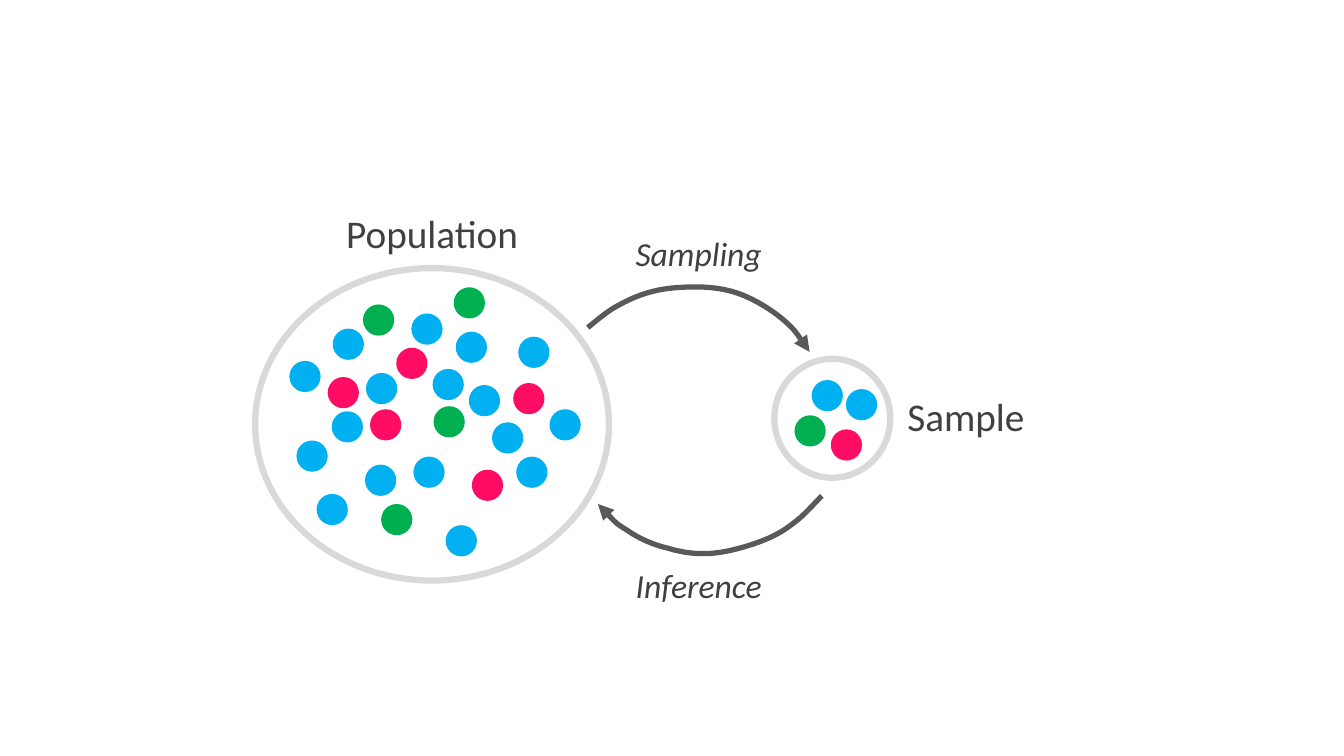
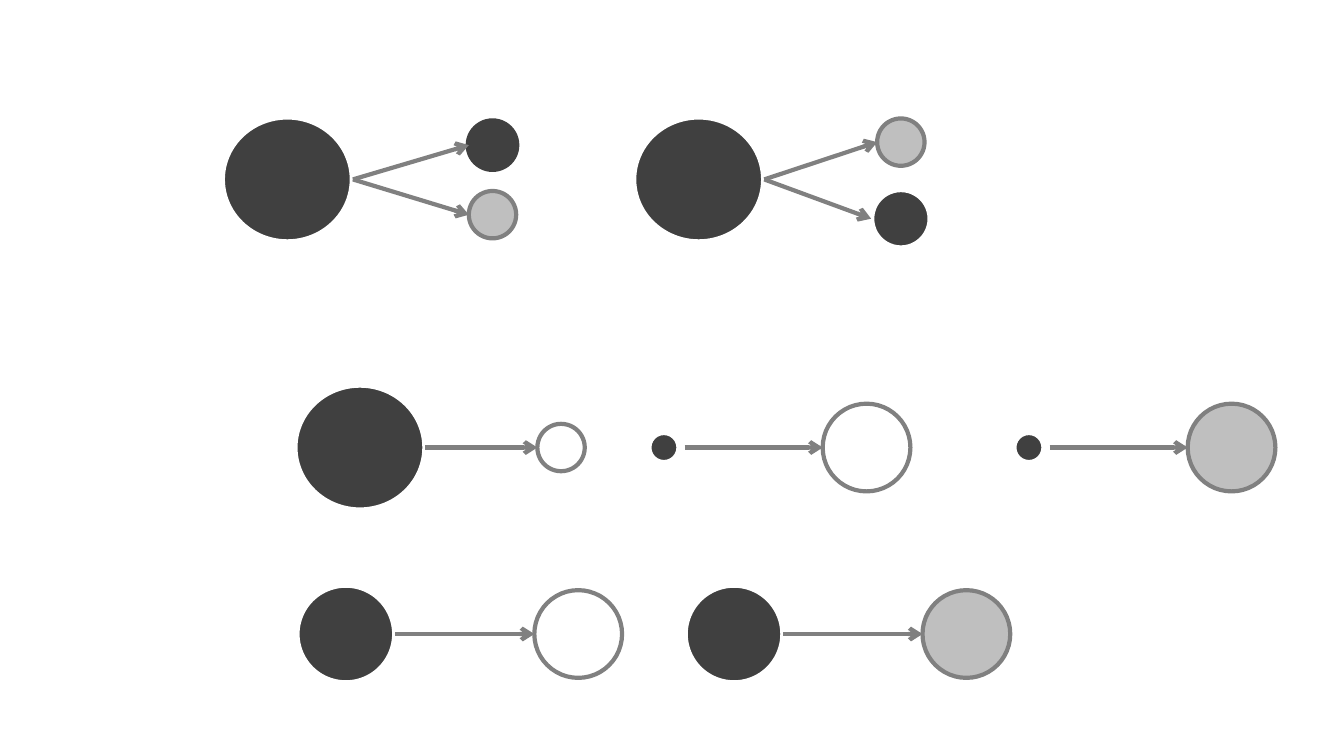
"""Build two slides: sampling and inference, and dark discs pointing to light ones."""
from lxml.etree import SubElement
from pptx import Presentation
from pptx.dml.color import RGBColor
from pptx.enum.shapes import MSO_CONNECTOR as Connector, MSO_SHAPE as Shape
from pptx.enum.text import MSO_AUTO_SIZE as AutoSize, PP_ALIGN as Align
from pptx.oxml.ns import qn
from pptx.util import Inches, Pt

COLORS = {
    "ring": "D9D9D9", "blue": "00B0F0", "green": "00B050", "pink": "FF0C64",
    "text": "404040", "curve": "595959", "dark": "404040", "white": "FFFFFF",
    "gray": "808080", "light": "BFBFBF",
}
DISCS = {
    "source": ("dark", "white", 4.5),
    "dark": ("dark", "dark", 4.5),
    "hollow": (None, "gray", 3),
    "light": ("light", "gray", 3),
}
LABELS = {
    "set": {"size": Pt(28), "italic": False},
    "process": {"size": Pt(24), "italic": True},
}
DOT = 0.31
POPULATION_DOTS = {
    "blue": [(1.99, 0.63), (2.92, 1.4), (0.41, 1.71), (1.55, 0.45), (1.09, 1.95),
             (1.57, 1.87), (2.35, 1.53), (2.61, 0.68), (0.77, 0.6), (1.89, 2.55),
             (0.61, 2.24), (2.12, 1.16), (0.76, 1.42), (2.59, 1.87), (0.34, 0.92),
             (1.76, 1), (1.1, 1.04)],
    "green": [(1.07, 0.36), (1.77, 1.37), (1.25, 2.34), (1.97, 0.19)],
    "pink": [(1.4, 0.79), (0.72, 1.08), (2.15, 2), (1.14, 1.4), (2.56, 1.14)],
}
SAMPLE_DOTS = {
    "blue": [(0.37, 0.21), (0.71, 0.3)],
    "green": [(0.2, 0.56)],
    "pink": [(0.56, 0.7)],
}
SAMPLING_CURVE = [
    (0, 0.41), (0.1, 0.33), (0.2, 0.24), (0.32, 0.18), (0.43, 0.12), (0.55, 0.07),
    (0.69, 0.04), (0.83, 0.01), (1.03, 0), (1.18, 0.01), (1.33, 0.02), (1.46, 0.05),
    (1.59, 0.11), (1.72, 0.17), (1.86, 0.26), (1.96, 0.35), (2.06, 0.44), (2.13, 0.55),
    (2.2, 0.65),
]
INFERENCE_CURVE = [
    (2.22, 0), (2.13, 0.09), (2.05, 0.19), (1.94, 0.27), (1.84, 0.35), (1.73, 0.41),
    (1.59, 0.46), (1.45, 0.51), (1.27, 0.56), (1.12, 0.57), (0.97, 0.58), (0.83, 0.56),
    (0.7, 0.52), (0.56, 0.49), (0.4, 0.42), (0.29, 0.34), (0.17, 0.27), (0.09, 0.17),
    (0, 0.08),
]


def color(name):
    """Return the named colour."""
    return RGBColor.from_string(COLORS[name])


def draw_line(shape, name, width, head=None):
    """Set the outline of a shape or connector, with an optional arrowhead."""
    shape.line.color.rgb = color(name)
    shape.line.width = Pt(width)
    if head:
        SubElement(shape._element.spPr.find(qn("a:ln")), qn("a:tailEnd"), type=head)


def add_ellipse(shapes, left, top, width, height, fill=None, line=None, weight=0):
    """Add an ellipse with the given fill and outline."""
    ellipse = shapes.add_shape(Shape.OVAL, *map(Inches, (left, top, width, height)))
    ellipse.shadow.inherit = False
    if fill:
        ellipse.fill.solid()
        ellipse.fill.fore_color.rgb = color(fill)
    else:
        ellipse.fill.background()
    if line:
        draw_line(ellipse, line, weight)
    else:
        ellipse.line.fill.background()


def add_label(page, left, top, width, height, text, style, align=Align.CENTER):
    """Add a one-line label."""
    box = page.shapes.add_textbox(*map(Inches, (left, top, width, height)))
    frame = box.text_frame
    frame.word_wrap = True
    frame.auto_size = AutoSize.SHAPE_TO_FIT_TEXT
    para = frame.paragraphs[0]
    para.alignment = align
    span = para.add_run()
    span.text = text
    for key, value in {"name": "Calibri", **LABELS[style]}.items():
        setattr(span.font, key, value)
    span.font.color.rgb = color("text")


def add_dot_set(page, left, top, width, height, dots):
    """Add a ring holding coloured dots, as one group."""
    shapes = page.shapes.add_group_shape().shapes
    add_ellipse(shapes, left, top, width, height, line="ring", weight=4.5)
    for fill, places in dots.items():
        for x, y in places:
            add_ellipse(shapes, left + x, top + y, DOT, DOT, fill)


def add_curved_arrow(page, left, top, points):
    """Add an open Bézier curve through a start point and triples of control points."""
    start, *rest = [(Inches(left + x), Inches(top + y)) for x, y in points]
    builder = page.shapes.build_freeform(*start)
    builder.add_line_segments(rest, close=False)
    curve = builder.convert_to_shape()
    curve.shadow.inherit = False
    curve.fill.background()
    draw_line(curve, "curve", 3.75, "triangle")
    segments = list(curve._element.iter(qn("a:lnTo")))
    for first, second, third in zip(segments[::3], segments[1::3], segments[2::3]):
        first.tag = qn("a:cubicBezTo")
        for segment in (second, third):
            first.append(segment[0])
            segment.getparent().remove(segment)


def add_arrow(page, x1, y1, x2, y2):
    """Add a straight arrow."""
    arrow = page.shapes.add_connector(Connector.STRAIGHT, *map(Inches, (x1, y1, x2, y2)))
    draw_line(arrow, "gray", 3, "arrow")
    SubElement(arrow._element.spPr, qn("a:effectLst"))


def add_disc_flow(page, left, middle, width, height, targets, gap=0):
    """Add a dark disc with an arrow to each target, placed from its left and middle."""
    add_ellipse(page.shapes, left, middle - height / 2, width, height, *DISCS["source"])
    for x, y, size, style in targets:
        target_left, target_middle = left + x, middle + y
        add_ellipse(page.shapes, target_left, target_middle - size / 2, size, size, *DISCS[style])
        add_arrow(page, left + width + gap, middle, target_left, target_middle)


def build_sampling(page, left, top):
    """Draw the population, the sample and the arrows between them."""
    add_dot_set(page, left, top, 3.51, 3.1, POPULATION_DOTS)
    add_dot_set(page, left + 5.15, top + 0.9, 1.15, 1.18, SAMPLE_DOTS)
    add_curved_arrow(page, left + 3.3, top + 0.18, SAMPLING_CURVE)
    add_curved_arrow(page, left + 3.4, top + 2.26, INFERENCE_CURVE)
    add_label(page, left, top - 0.63, 3.51, 0.57, "Population", "set")
    add_label(page, left + 6.37, top + 1.18, 1.41, 0.57, "Sample", "set", Align.LEFT)
    add_label(page, left + 3.3, top - 0.4, 2.2, 0.5, "Sampling", "process")
    add_label(page, left + 3.3, top + 2.9, 2.2, 0.5, "Inference", "process")


def build_disc_flows(page):
    """Draw three rows of disc flows."""
    add_disc_flow(page, 2.2, 1.78, 1.3, 1.25,
                  [(2.45, -0.34, 0.47, "dark"), (2.45, 0.35, 0.47, "light")])
    add_disc_flow(page, 6.28, 1.78, 1.3, 1.25,
                  [(2.42, -0.37, 0.47, "light"), (2.36, 0.39, 0.59, "source")])
    add_disc_flow(page, 2.92, 4.44, 1.3, 1.25, [(2.41, 0, 0.47, "hollow")])
    for left, style in ((6.43, "hollow"), (10.05, "light")):
        add_disc_flow(page, left, 4.44, DOT, DOT, [(1.73, 0, 0.87, style)], 0.05)
    for left, style in ((2.94, "hollow"), (6.79, "light")):
        add_disc_flow(page, left, 6.29, 0.98, 0.98, [(2.36, 0, 0.87, style)])


def main():
    """Build and save the deck."""
    deck = Presentation()
    deck.slide_width, deck.slide_height = Inches(13.33), Inches(7.5)
    blank = deck.slide_layouts[6]
    build_sampling(deck.slides.add_slide(blank), 2.53, 2.66)
    build_disc_flows(deck.slides.add_slide(blank))
    deck.save("out.pptx")


if __name__ == "__main__":
    main()
